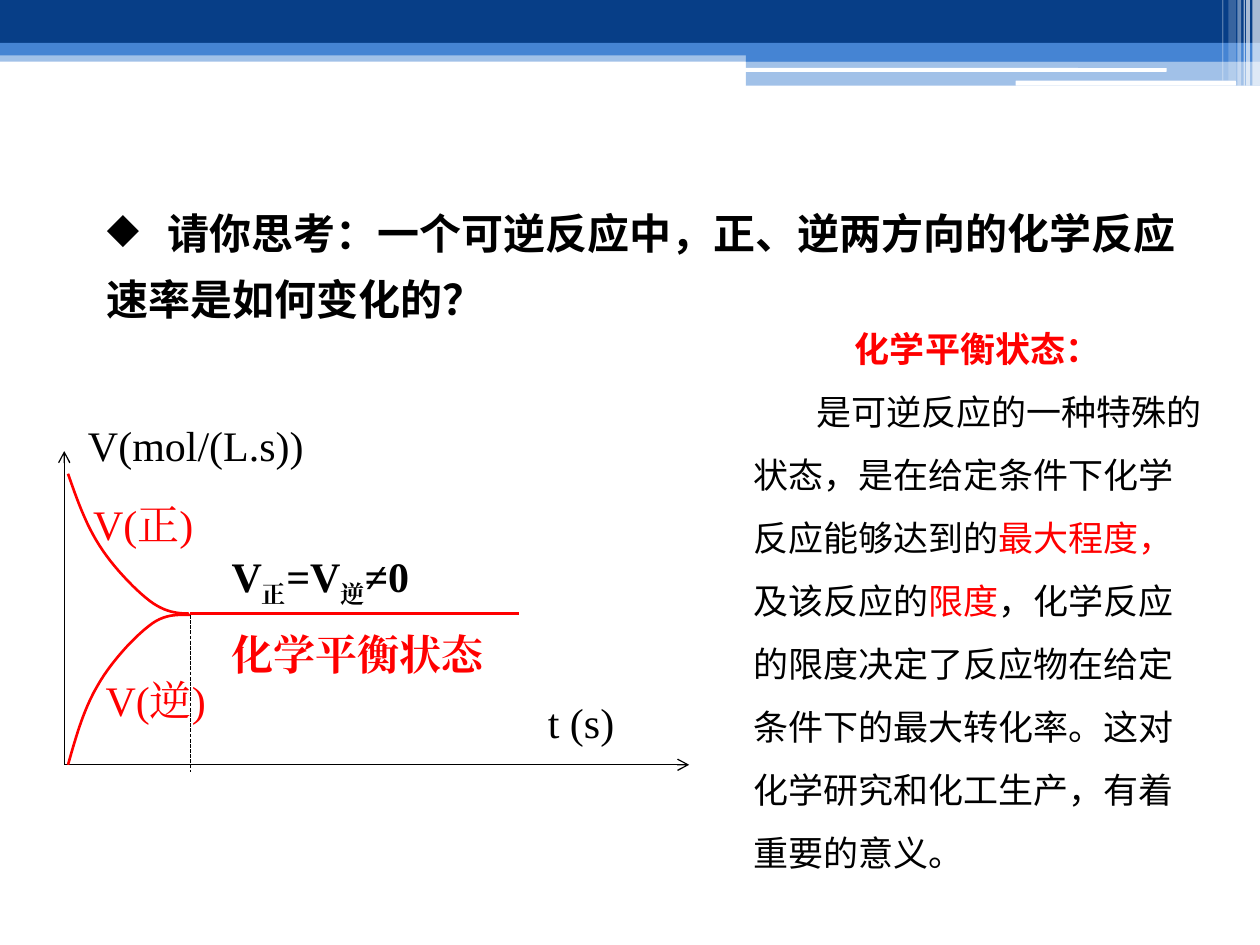
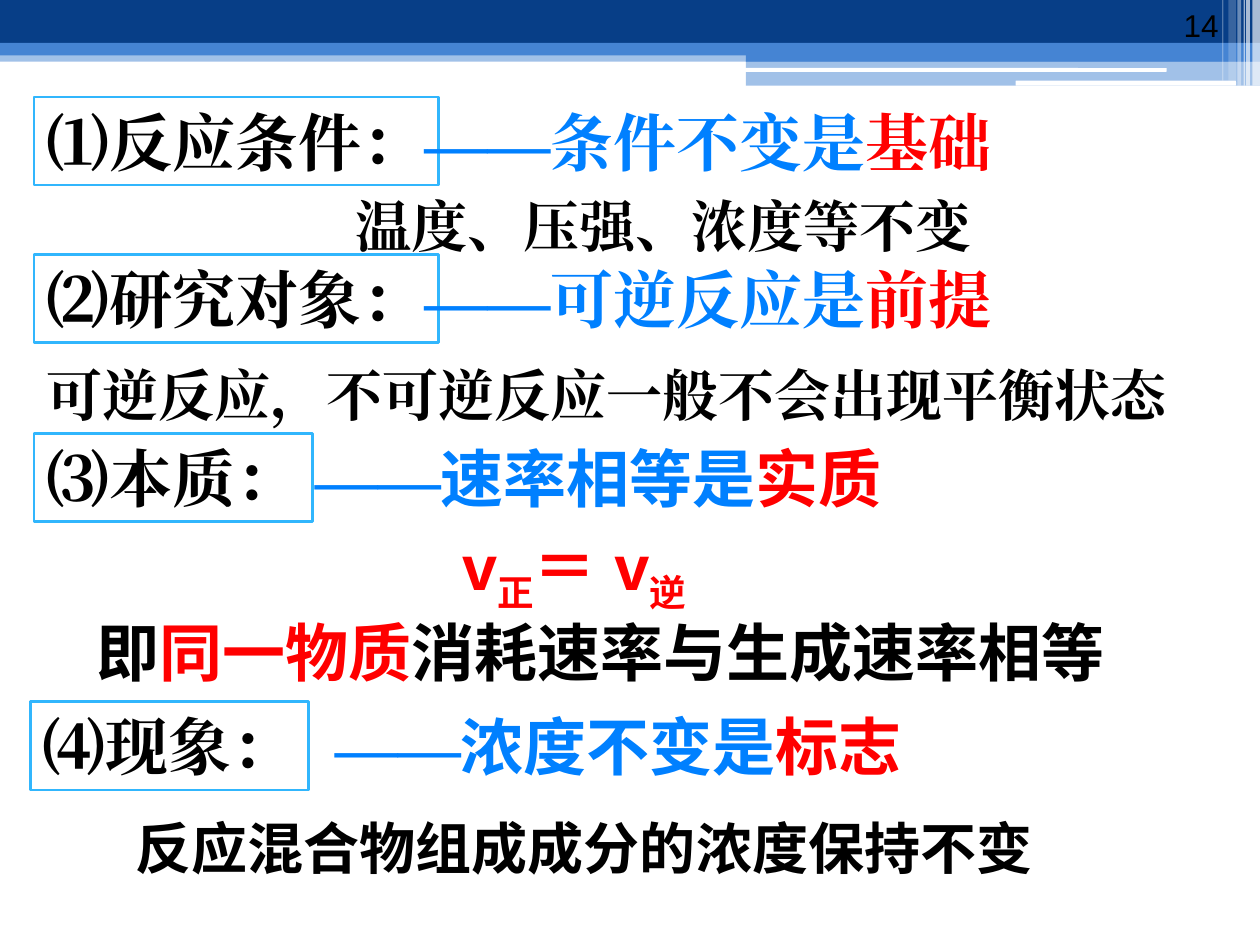
from pptx import Presentation
from pptx.dml.color import RGBColor
from pptx.enum.dml import MSO_LINE
from pptx.enum.shapes import MSO_CONNECTOR, MSO_SHAPE
from pptx.enum.text import MSO_ANCHOR, MSO_AUTO_SIZE, PP_ALIGN
from pptx.oxml.ns import qn
from pptx.util import Pt
from lxml.etree import SubElement

PX = 9144  # EMU in one px, 100 px to the inch

NAVY = RGBColor(0x07, 0x3E, 0x87)
BLUE = RGBColor(0x45, 0x84, 0xD3)
FRAME = RGBColor(0x31, 0xB6, 0xFD)
CLAIM = RGBColor(0x00, 0x80, 0xFF)
RED = RGBColor(0xFF, 0, 0)
BLACK = RGBColor(0, 0, 0)
WHITE = RGBColor(0xFF, 0xFF, 0xFF)

TIMES = "Times New Roman"
SANS = "Noto Sans CJK SC"
SCHOLA = "TeX Gyre Schola"
ARIAL = "Arial"

# Header band: left, top, width, height, colour, opacity %, shape
RECT, ROUND = MSO_SHAPE.RECTANGLE, MSO_SHAPE.ROUNDED_RECTANGLE
BAND = [
    (0, 40, 1000, 9, BLUE, 50, RECT),
    (0, 0, 1000, 34, NAVY, 100, RECT),
    (0, 34, 1000, 10, BLUE, 100, RECT),
    (592, 39, 408, 10, BLUE, 100, RECT),
    (592, 48, 408, 20, BLUE, 50, RECT),
    (591, 54, 335, 3, WHITE, 100, ROUND),
    (806, 64, 175, 4, WHITE, 100, ROUND),
    (994, 0, 6, 68, WHITE, 65, RECT),
    (989, 0, 3, 68, WHITE, 65, RECT),
    (987, 0, 1, 68, WHITE, 60, RECT),
    (982, 0, 3, 68, WHITE, 40, RECT),
    (975, 0, 6, 64, WHITE, 20, RECT),
    (970, 0, 1, 64, WHITE, 30, RECT),
]


def bezier(start, segments, steps=12):
    """Points along a chain of cubic curves."""
    points = [start]
    for c1, c2, end in segments:
        for i in range(1, steps + 1):
            t = i / steps
            u = 1 - t
            points.append(tuple(
                u**3 * a + 3 * u * u * t * b + 3 * u * t * t * c + t**3 * d
                for a, b, c, d in zip(start, c1, c2, end)))
        start = end
    return points


class Deck:
    """Holds the presentation, its style and the current slide."""

    def __init__(self):
        self.prs = Presentation()
        self.prs.slide_width, self.prs.slide_height = 1000 * PX, 750 * PX

    def new_slide(self):
        self.s = self.prs.slides.add_slide(self.prs.slide_layouts[6])
        for x, y, w, h, color, opacity, kind in BAND:
            self.shape(x, y, w, h, color, opacity, kind)

    def shape(self, x, y, w, h, fill, opacity=100, kind=RECT, line=None):
        sp = self.s.shapes.add_shape(kind, x * PX, y * PX, w * PX, h * PX)
        sp.shadow.inherit = False
        sp.fill.solid()
        sp.fill.fore_color.rgb = fill
        if opacity < 100:
            clr = sp._element.spPr.find(".//" + qn("a:srgbClr"))
            SubElement(clr, qn("a:alpha"), val=str(opacity * 1000))
        if line:
            self.stroke(sp, line, 1.5)
        else:
            sp.line.fill.background()
        return sp

    def stroke(self, sp, color, width):
        sp.line.color.rgb = color
        sp.line.width = Pt(width)

    def text(self, x, y, w, h, paras, size, **style):
        sp = self.s.shapes.add_textbox(x * PX, y * PX, w * PX, h * PX)
        self.set_runs(sp, paras, size, **style)
        return sp.text_frame

    def set_runs(self, sp, paras, size, font=TIMES, color=BLACK, bold=False,
                 wrap=True, spacing=None):
        """Fill a shape with text; a run is (text, {overrides})."""
        tf = sp.text_frame
        tf.word_wrap = wrap
        tf.auto_size = MSO_AUTO_SIZE.SHAPE_TO_FIT_TEXT
        tf.vertical_anchor = MSO_ANCHOR.TOP
        for i, runs in enumerate(paras):
            p = tf.paragraphs[0] if i == 0 else tf.add_paragraph()
            p.alignment = PP_ALIGN.LEFT
            if spacing:
                p.line_spacing = spacing
            for text, over in runs:
                r = p.add_run()
                r.text = text
                f = r.font
                f.size = Pt(size)
                f.bold = over.get("bold", bold)
                f.color.rgb = over.get("color", color)
                f.name = over.get("font", font)
                rPr = r._r.get_or_add_rPr()
                SubElement(rPr, qn("a:ea"), typeface=f.name)
                if over.get("sub"):
                    rPr.set("baseline", "-25000")

    def indent(self, p, px):
        pPr = p._p.get_or_add_pPr()
        pPr.set("marL", "0")
        pPr.set("indent", str(px * PX))
        return pPr

    def bullet(self, p, char, tab):
        """Bullet at the margin, wrapped lines below it, text at a tab."""
        pPr = self.indent(p, 0)
        SubElement(pPr, qn("a:buChar"), char=char)
        tabs = SubElement(pPr, qn("a:tabLst"))
        SubElement(tabs, qn("a:tab"), pos=str(tab * PX), algn="l")

    def line(self, x1, y1, x2, y2, color=BLACK, width=0.75, arrow=False,
             dash=None):
        sp = self.s.shapes.add_connector(
            MSO_CONNECTOR.STRAIGHT, x1 * PX, y1 * PX, x2 * PX, y2 * PX)
        self.stroke(sp, color, width)
        if dash:
            sp.line.dash_style = dash
        spPr = sp._element.spPr
        if arrow:
            SubElement(spPr.find(qn("a:ln")), qn("a:tailEnd"), type="arrow")
        SubElement(spPr, qn("a:effectLst"))

    def curve(self, start, segments):
        points = [(round(x * PX), round(y * PX))
                  for x, y in bezier(start, segments)]
        fb = self.s.shapes.build_freeform(*points[0])
        fb.add_line_segments(points[1:], close=False)
        sp = fb.convert_to_shape()
        sp.shadow.inherit = False
        sp.fill.background()
        self.stroke(sp, RED, 1.5)


SUB = {"sub": True}
MARK = {"color": RED}


def rate_slide(d):
    d.new_slide()

    # Question
    question = "\t请你思考：一个可逆反应中，正、逆两方向的化学反应速率是如何变化的？"
    tf = d.text(75, 148, 880, 115, [[(question, {})]], 24, font=SANS,
                bold=True, spacing=1.3)
    d.bullet(tf.paragraphs[0], "◆", 48)

    # Axes
    d.line(51, 607, 547, 607, arrow=True)
    d.line(51, 607, 51, 358, arrow=True)
    d.text(60, 328, 296, 65, [[("V(mol/(L.s))", {})]], 24)
    d.text(425, 548, 104, 65, [[("t (s)", {})]], 24)

    # Rate curves meeting at equilibrium
    d.curve((54, 607), [((60, 586), (66, 564), (77, 545)),
                        ((87, 527), (105, 507), (118, 497)),
                        ((130, 487), (141, 488), (151, 488))])
    d.line(151, 488, 151, 613, dash=MSO_LINE.SQUARE_DOT)
    d.curve((54, 376), [((61, 396), (68, 416), (79, 433)),
                        ((89, 449), (107, 468), (119, 477)),
                        ((131, 486), (141, 487), (150, 487))])
    d.line(151, 487, 412, 487, RED, 1.5)

    # Curve labels
    d.text(64, 391, 126, 72, [[("V(正)", {})]], 24, color=RED)
    d.text(74, 530, 126, 72, [[("V(逆)", {})]], 24, color=RED)
    equality = [("V", {}), ("正", SUB), ("=V", {}), ("逆", SUB), ("≠0", {})]
    d.text(174, 432, 208, 72, [equality], 24, bold=True, wrap=False)
    d.text(174, 494, 276, 72, [[("化学平衡状态", {})]], 24, color=RED,
           bold=True, wrap=False)

    # Definition
    definition = [
        ("是可逆反应的一种特殊的状态，是在给定条件下化学反应能够达到的", {}),
        ("最大程度，", MARK),
        ("及该反应的", {}),
        ("限度", MARK),
        ("，化学反应的限度决定了反应物在给定条件下的最大转化率。"
         "这对化学研究和化工生产，有着重要的意义。", {}),
    ]
    heading = [("化学平衡状态：", {"color": RED, "bold": True})]
    tf = d.text(588, 238, 376, 464, [heading, definition], 20, font=SCHOLA,
                spacing=1.5)
    tf.paragraphs[0].alignment = PP_ALIGN.CENTER
    d.indent(tf.paragraphs[1], 50)


def features_slide(d):
    d.new_slide()

    # Slide number
    tf = d.text(894, 0, 83, 40, [[("14", {})]], 18, font=ARIAL)
    tf.auto_size = MSO_AUTO_SIZE.NONE
    tf.vertical_anchor = MSO_ANCHOR.BOTTOM
    tf.paragraphs[0].alignment = PP_ALIGN.RIGHT

    # Explanations
    for x, y, w, font, note in [
        (272, 147, 511, TIMES, "温度、压强、浓度等不变"),
        (27, 281, 912, TIMES, "可逆反应，不可逆反应一般不会出现平衡状态"),
        (98, 641, 734, SANS, "反应混合物组成成分的浓度保持不变"),
    ]:
        d.text(x, y, w, 63, [[(note, {})]], 32, font=font, bold=True,
               wrap=False)

    # Equal rates
    sans, red_sans = {"font": SANS, "color": BLACK}, {"font": SANS}
    rates = [("v", {}), ("正", SUB), ("＝ v", {}), ("逆", SUB)]
    meaning = [("即", sans), ("同一物质", red_sans),
               ("消耗速率与生成速率相等", sans)]
    tf = d.text(67, 414, 827, 130, [rates, meaning], 36, font=ARIAL,
                color=RED, bold=True)
    d.indent(tf.paragraphs[0], 290)

    # Framed headings, each with its claim
    for x, y, w, heading, claim_x, font, claim, key in [
        (27, 77, 321, "⑴反应条件：", 327, TIMES, "条件不变是", "基础"),
        (27, 202, 321, "⑵研究对象：", 327, TIMES, "可逆反应是", "前提"),
        (27, 344, 221, "⑶本质：", 240, SANS, "速率相等是", "实质"),
        (24, 557, 221, "⑷现象：", 256, SANS, "浓度不变是", "标志"),
    ]:
        sp = d.shape(x, y, w, 70, WHITE, line=FRAME)
        d.set_runs(sp, [[(heading, {})]], 36, bold=True, wrap=False)
        runs = [("——", {}), (claim, {"font": font}),
                (key, {"font": font, "color": RED})]
        d.text(claim_x, y, 470, 70, [runs], 36, color=CLAIM, bold=True,
               wrap=False)


def main():
    d = Deck()
    rate_slide(d)
    features_slide(d)
    d.prs.save("out.pptx")


if __name__ == "__main__":
    main()
